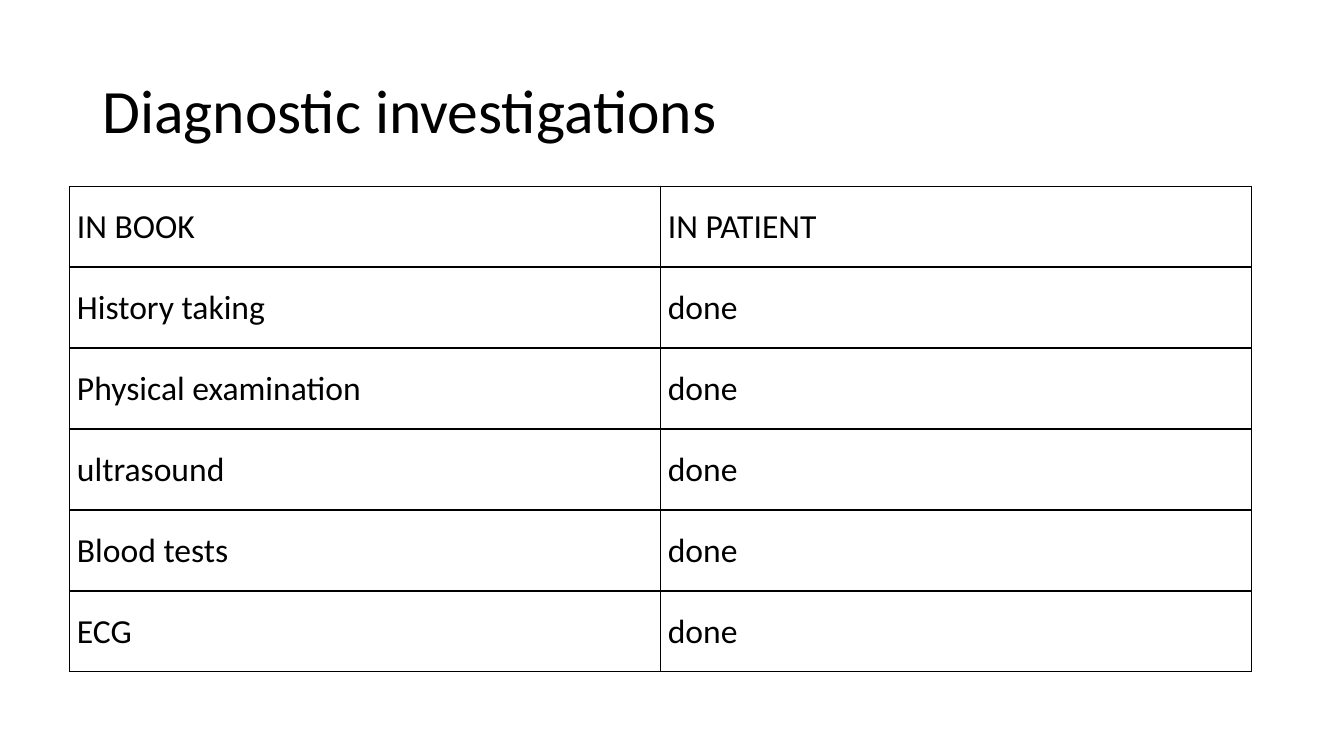
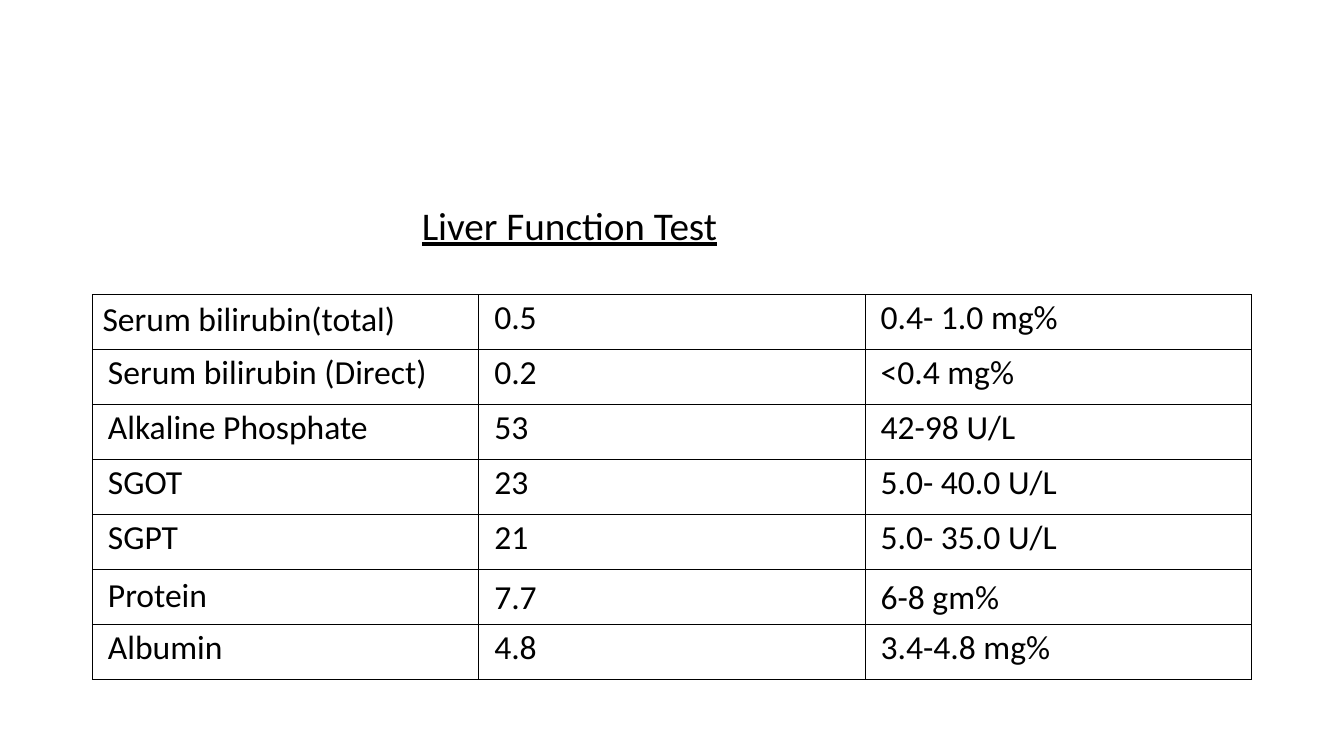
from lxml.etree import SubElement
from pptx import Presentation
from pptx.dml.color import RGBColor
from pptx.enum.text import MSO_ANCHOR, PP_ALIGN
from pptx.oxml import parse_xml
from pptx.oxml.ns import nsdecls, qn
from pptx.util import Cm, Pt

BLACK = RGBColor(0, 0, 0)
FONT = "Calibri"
MARGIN = Cm(2.33)
CONTENT_WIDTH = Cm(29.21)
CELL_SIZE = 24

INVESTIGATIONS = [
    ("IN BOOK", "IN PATIENT"),
    ("History taking", "done"),
    ("Physical examination", "done"),
    ("ultrasound", "done"),
    ("Blood tests", "done"),
    ("ECG", "done"),
]
LIVER_TESTS = [
    ("Serum bilirubin(total)", "0.5", "0.4- 1.0 mg%"),
    ("Serum bilirubin (Direct)", "0.2", "<0.4 mg%"),
    ("Alkaline Phosphate", "53", "42-98 U/L"),
    ("SGOT", "23", "5.0- 40.0 U/L"),
    ("SGPT", "21", "5.0- 35.0 U/L"),
    ("Protein", "7.7", "6-8 gm%"),
    ("Albumin", "4.8", "3.4-4.8 mg%"),
]


def write_text(frame, text, size=CELL_SIZE, underline=None, align=None,
               line_spacing=None, space_before=0, indent=0):
    paragraph = frame.paragraphs[0]
    paragraph.alignment = align
    paragraph.line_spacing = line_spacing
    paragraph.space_before = Pt(space_before)
    if indent:
        properties = paragraph._p.get_or_add_pPr()
        properties.set("marL", str(indent))
        properties.set("indent", "0")
    run = paragraph.add_run()
    run.text = text
    run.font.name = FONT
    run.font.size = Pt(size)
    run.font.underline = underline
    run.font.color.rgb = BLACK


def add_text(slide, box, text, anchor=MSO_ANCHOR.TOP, **text_format):
    frame = slide.shapes.add_textbox(*box).text_frame
    frame.word_wrap = True
    frame.vertical_anchor = anchor
    write_text(frame, text, line_spacing=0.9, **text_format)


def set_borders(cell):
    properties = cell._tc.get_or_add_tcPr()
    for position, side in enumerate(("lnL", "lnR", "lnT", "lnB")):
        line = parse_xml(f'<a:{side} {nsdecls("a")} w="{Pt(1)}"/>')
        fill = SubElement(line, qn("a:solidFill"))
        SubElement(fill, qn("a:srgbClr")).set("val", str(BLACK))
        properties.insert(position, line)


def add_grid(slide, box, rows, cell_format):
    """Draw a ruled table; cell_format(row, column) gives a cell's text format."""
    left, top, width, height = box
    table = slide.shapes.add_table(len(rows), len(rows[0]), *box).table
    table.first_row = False
    table.horz_banding = False
    for column in table.columns:
        column.width = width // len(rows[0])
    for row in table.rows:
        row.height = height // len(rows)
    for row_index, row in enumerate(rows):
        for column_index, text in enumerate(row):
            cell = table.cell(row_index, column_index)
            cell.fill.background()
            set_borders(cell)
            text_format = cell_format(row_index, column_index)
            if text_format:
                cell.margin_left = cell.margin_right = Cm(0.19)
                cell.margin_top = cell.margin_bottom = 0
            write_text(cell.text_frame, text, **text_format)


def investigation_format(row, column):
    return {"align": PP_ALIGN.JUSTIFY, "line_spacing": 1.5}


def liver_format(row, column):
    # The first cell keeps the default margins and alignment
    if (row, column) == (0, 0):
        return {}
    text_format = {"align": PP_ALIGN.JUSTIFY, "indent": Cm(0.2)}
    if LIVER_TESTS[row][0] == "Protein":
        return text_format | {"line_spacing": 1.19 if column else 1.14}
    return text_format | {"line_spacing": 1.07,
                          "space_before": 0.2 if column else 0.5}


def add_investigations_slide(slide):
    # Title
    add_text(slide, (MARGIN, Cm(1.01), CONTENT_WIDTH, Cm(3.68)),
             "Diagnostic investigations", anchor=MSO_ANCHOR.MIDDLE, size=44)
    # Table
    add_grid(slide, (Cm(1.75), Cm(4.69), Cm(29.78), Cm(12.24)),
             INVESTIGATIONS, investigation_format)


def add_liver_slide(slide):
    # Heading
    add_text(slide, (MARGIN, Cm(5.07), CONTENT_WIDTH, Cm(2.2)),
             "Liver Function Test", size=28, underline=True,
             space_before=10, indent=Cm(8.05))
    # Table
    add_grid(slide, (MARGIN, Cm(7.43), CONTENT_WIDTH, Cm(9.7)),
             LIVER_TESTS, liver_format)


def main():
    presentation = Presentation()
    presentation.slide_width = Cm(33.87)
    presentation.slide_height = Cm(19.05)
    blank = presentation.slide_layouts[6]
    for build in (add_investigations_slide, add_liver_slide):
        build(presentation.slides.add_slide(blank))
    presentation.save("out.pptx")


if __name__ == "__main__":
    main()
